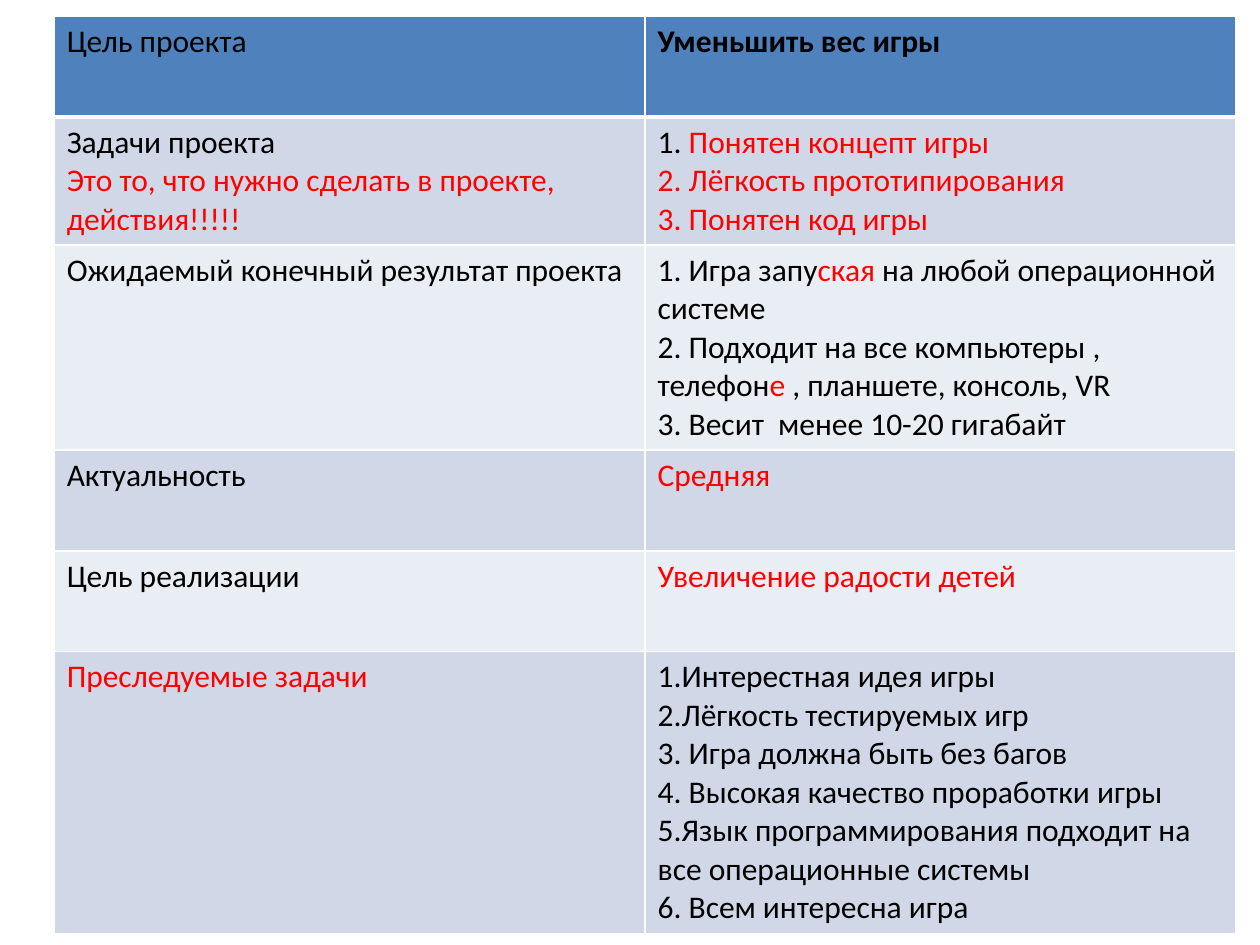
from lxml import etree
from pptx import Presentation
from pptx.dml.color import RGBColor
from pptx.oxml.ns import qn
from pptx.util import Inches, Pt

THEME = {
    "font": "Calibri", "size": 18,
    "text": "000000", "accent": "FF0000", "border": "FFFFFF",
    "header": "4F81BD", "bands": ("D0D8E8", "E9EDF4"),
    "line": 1, "header_line": 3,
}
BLANK_LAYOUT = 6
TEXT, RED = "text", "accent"

# Content: row height, then two cells; a cell is a list of paragraphs,
# a paragraph is a list of (text, colour) runs
ROWS = [
    (0.8, [[("Цель проекта", TEXT)]], [[("Уменьшить вес игры", TEXT)]]),
    (0.99,
     [[("Задачи проекта", TEXT)],
      [("Это то, что нужно сделать в проекте, действия!!!!!", RED)]],
     [[("1. ", TEXT),
       ("Понятен концепт игры\n2. Лёгкость прототипирования\n"
        "3. Понятен код игры", RED)]]),
    (1.59,
     [[("Ожидаемый конечный результат проекта", TEXT)]],
     [[("1. Игра запу", TEXT), ("ская", RED),
       (" на любой операционной  системе\n"
        "2. Подходит на все компьютеры , телефон", TEXT),
       ("е ", RED),
       (", планшете, консоль, VR\n3. Весит  менее 10-20 гигабайт", TEXT)]]),
    (0.8, [[("Актуальность", TEXT)]], [[("Средняя", RED)]]),
    (0.8, [[("Цель реализации", TEXT)]],
     [[("Увеличение радости детей", RED)]]),
    (2.18,
     [[("Преследуемые задачи", RED)]],
     [[("1.Интерестная идея игры\n2.Лёгкость тестируемых игр\n"
        "3. Игра должна быть без багов\n"
        "4. Высокая качество проработки игры\n"
        "5.Язык программирования подходит на все операционные системы\n"
        "6. Всем интересна игра", TEXT)]]),
]
LEFT, TOP, COL_WIDTH = 0.43, 0.13, 4.69


def add_text(p, text, color=TEXT, bold=False):
    """Add text to a paragraph, turning newlines into line breaks."""
    for i, line in enumerate(text.split("\n")):
        if i:
            p.add_line_break()
        r = p.add_run()
        r.text = line
        r.font.name = THEME["font"]
        r.font.size = Pt(THEME["size"])
        r.font.bold = bold
        r.font.color.rgb = RGBColor.from_string(THEME[color])


def set_borders(cell, top, bottom):
    tc_pr = cell._tc.get_or_add_tcPr()
    widths = {"lnL": THEME["line"], "lnR": THEME["line"],
              "lnT": top, "lnB": bottom}
    for tag, width in widths.items():
        ln = etree.SubElement(tc_pr, qn(f"a:{tag}"), w=str(Pt(width)))
        fill = etree.SubElement(ln, qn("a:solidFill"))
        etree.SubElement(fill, qn("a:srgbClr"), val=THEME["border"])


prs = Presentation()
prs.slide_width, prs.slide_height = Inches(10), Inches(7.5)
s = prs.slides.add_slide(prs.slide_layouts[BLANK_LAYOUT])

# Table grid
total_height = sum(row[0] for row in ROWS)
table = s.shapes.add_table(len(ROWS), 2, Inches(LEFT), Inches(TOP),
                           Inches(2 * COL_WIDTH), Inches(total_height)).table
for column in table.columns:
    column.width = Inches(COL_WIDTH)

# Cells: header row, then alternating bands
for i, (height, *cells) in enumerate(ROWS):
    table.rows[i].height = Inches(height)
    color = THEME["bands"][(i - 1) % 2] if i else THEME["header"]
    top = THEME["header_line"] if i == 1 else THEME["line"]
    bottom = THEME["header_line"] if i == 0 else THEME["line"]
    for j, paragraphs in enumerate(cells):
        cell = table.cell(i, j)
        set_borders(cell, top, bottom)
        cell.fill.solid()
        cell.fill.fore_color.rgb = RGBColor.from_string(color)
        tf = cell.text_frame
        for k, runs in enumerate(paragraphs):
            p = tf.add_paragraph() if k else tf.paragraphs[0]
            for text, run_color in runs:
                add_text(p, text, color=run_color, bold=(i == 0 and j == 1))

prs.save("out.pptx")
